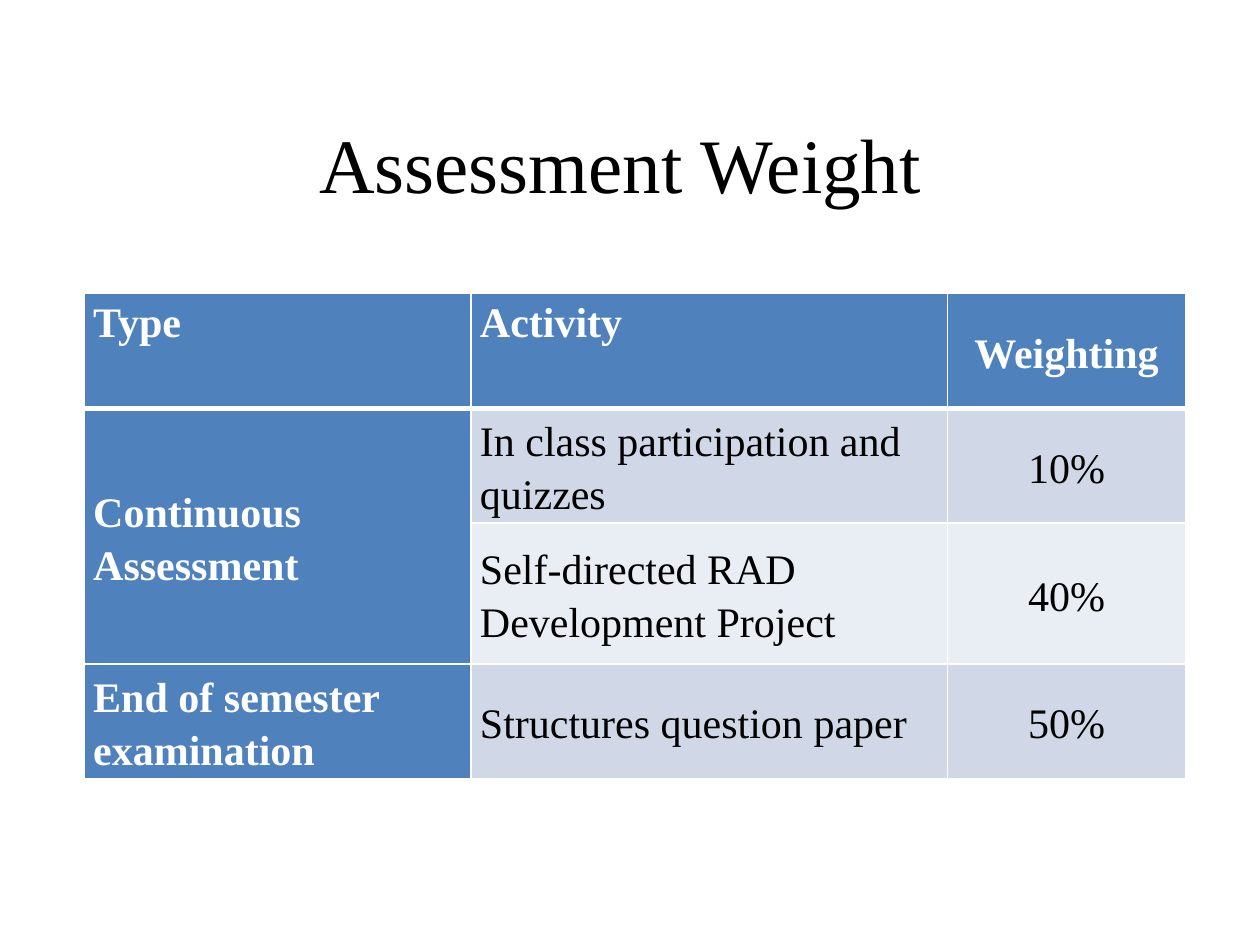
from lxml import etree
from pptx import Presentation
from pptx.dml.color import RGBColor
from pptx.enum.text import MSO_ANCHOR, PP_ALIGN
from pptx.oxml.ns import qn
from pptx.util import Inches, Pt

LEFT, CENTER, JUSTIFY = PP_ALIGN.LEFT, PP_ALIGN.CENTER, PP_ALIGN.JUSTIFY
TOP, MIDDLE = MSO_ANCHOR.TOP, MSO_ANCHOR.MIDDLE
FONT = "Times New Roman"
BLUE, BANDS = "4F81BD", ("D0D8E8", "E9EDF4")
WHITE, BLACK = "FFFFFF", "000000"
COLS = (3.07, 3.78, 1.89)
ROWS = (0.91, 0.91, 1.12, 0.91)
WEIGHTS = (
    ("Type", "Activity", "Weighting"),
    ("Continuous Assessment", "In class participation and quizzes", "10%"),
    (None, "Self-directed RAD Development Project", "40%"),
    ("End of semester examination", "Structures question paper", "50%"),
)


def rgb(value):
    return RGBColor.from_string(value)


def add_run(p, text, size, color, bold=False):
    r = p.add_run()
    r.text = text
    r.font.name = FONT
    r.font.size = Pt(size)
    r.font.bold = bold
    r.font.color.rgb = rgb(color)


def set_borders(cell, bottom, top):
    """Draw white cell edges; they must come before the fill in tcPr."""
    tcPr = cell._tc.get_or_add_tcPr()
    edges = (("L", 1), ("R", 1), ("T", top), ("B", bottom))
    for i, (side, width) in enumerate(edges):
        ln = etree.Element(qn(f"a:ln{side}"), w=str(Pt(width)))
        fill = etree.SubElement(ln, qn("a:solidFill"))
        etree.SubElement(fill, qn("a:srgbClr"), val=WHITE)
        tcPr.insert(i, ln)


def place_title(slide, text, left, top, width, height):
    sp = slide.shapes.title
    sp.left, sp.top = Inches(left), Inches(top)
    sp.width, sp.height = Inches(width), Inches(height)
    tf = sp.text_frame
    tf.vertical_anchor = MIDDLE
    p = tf.paragraphs[0]
    p.alignment = CENTER
    add_run(p, text, 44, BLACK)


def format_cell(cell, text, row, col):
    header = row == 0
    label = header or col == 0
    cell.fill.solid()
    cell.fill.fore_color.rgb = rgb(BLUE if label else BANDS[(row - 1) % 2])
    set_borders(cell, bottom=3 if header else 1, top=3 if row == 1 else 1)
    cell.margin_left = cell.margin_right = Inches(0.07)
    cell.margin_top = cell.margin_bottom = 0
    cell.vertical_anchor = TOP if header and col < 2 else MIDDLE
    if text is None:
        return
    p = cell.text_frame.paragraphs[0]
    p.alignment = CENTER if col == 2 else JUSTIFY if header else LEFT
    p.line_spacing = 1.15
    add_run(p, text, 24, WHITE if label else BLACK, label)


def add_weight_table(slide, left, top):
    frame = slide.shapes.add_table(
        len(ROWS), len(COLS), Inches(left), Inches(top),
        Inches(sum(COLS)), Inches(sum(ROWS)))
    table = frame.table
    for column, width in zip(table.columns, COLS):
        column.width = Inches(width)
    for row, height in zip(table.rows, ROWS):
        row.height = Inches(height)
    table.cell(1, 0).merge(table.cell(2, 0))
    for i, texts in enumerate(WEIGHTS):
        for j, text in enumerate(texts):
            format_cell(table.cell(i, j), text, i, j)


def main():
    prs = Presentation()
    prs.slide_width, prs.slide_height = Inches(10), Inches(7.5)
    slide = prs.slides.add_slide(prs.slide_layouts[5])
    place_title(slide, "Assessment Weight ", 0.5, 0.67, 9, 1.25)
    add_weight_table(slide, 0.67, 2.33)
    prs.save("out.pptx")


if __name__ == "__main__":
    main()
